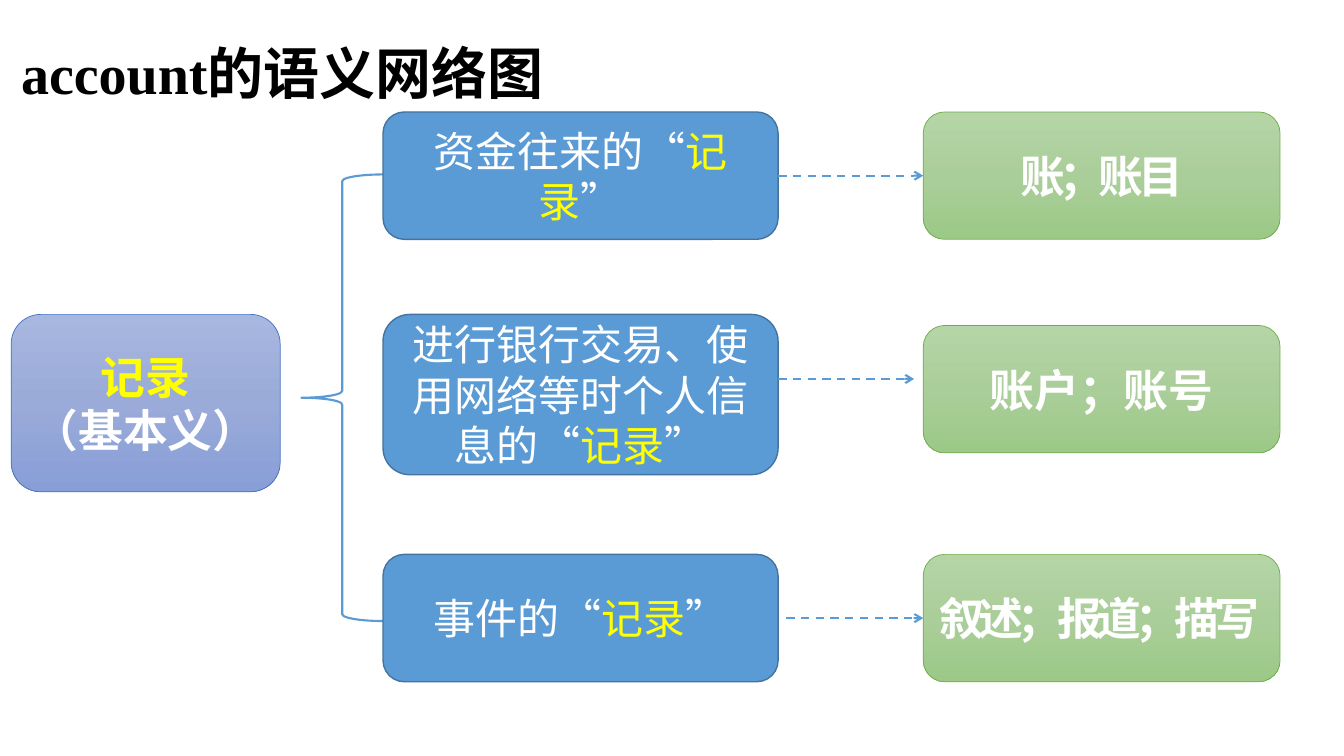
from copy import deepcopy

from lxml import etree
from pptx import Presentation
from pptx.dml.color import RGBColor
from pptx.enum.dml import MSO_LINE
from pptx.enum.shapes import MSO_CONNECTOR, MSO_SHAPE
from pptx.enum.text import MSO_ANCHOR, PP_ALIGN
from pptx.oxml.ns import qn
from pptx.util import Pt

ROUNDED = MSO_SHAPE.ROUNDED_RECTANGLE
BRACE = MSO_SHAPE.LEFT_BRACE
STRAIGHT = MSO_CONNECTOR.STRAIGHT
DASH = MSO_LINE.DASH
MIDDLE = MSO_ANCHOR.MIDDLE
CENTER = PP_ALIGN.CENTER
JUSTIFY = PP_ALIGN.JUSTIFY
LEFT_SIDE, RIGHT_SIDE = 1, 3

CHINESE_FONT = "Noto Sans CJK SC"
TITLE_FONT = "Times New Roman"
COLORS = {
    "title": "000000",
    "text": "FFFFFF",
    "keyword": "FFFF00",
    "sense": "5B9BD5",
    "sense_line": "43739E",
    "root_line": "4472C4",
    "translation_line": "70AD47",
}
ROOT_GRADIENT = ("A8B7DF", "9AABD9", "889ED7")
TRANSLATION_GRADIENT = ("B5D5A7", "AACE9A", "9CC987")

KEYWORD = "记录"
SENSE_LEFT, SENSE_WIDTH = 273.6, 282.2
TRANSLATION_LEFT, TRANSLATION_WIDTH = 659.5, 254.9
BOX_HEIGHT = 91
ROWS = [
    {"sense": "资金往来的“记录”", "sense_top": 80, "sense_height": BOX_HEIGHT,
     "translation": "账；账目", "translation_top": 80,
     "align": CENTER, "spacing": -4},
    {"sense": "进行银行交易、使用网络等时个人信息的“记录”",
     "sense_top": 224.6, "sense_height": 114.5,
     "translation": "账户；账号", "translation_top": 232.5,
     "align": CENTER, "spacing": 0},
    {"sense": "事件的“记录”", "sense_top": 396, "sense_height": BOX_HEIGHT,
     "translation": "叙述；报道；描写", "translation_top": 396,
     "align": JUSTIFY, "spacing": -4},
]


def rgb(name):
    return RGBColor.from_string(COLORS[name])


def style_font(paragraph, size, bold=False, spacing=0):
    font = paragraph.font
    font.size = Pt(size)
    font.bold = bold
    font.name = CHINESE_FONT
    properties = paragraph._p.pPr.find(qn("a:defRPr"))
    etree.SubElement(properties, qn("a:ea"), typeface=CHINESE_FONT)
    if spacing:
        properties.set("spc", str(spacing * 100))


def fill_gradient(shape, colors):
    shape.fill.gradient()
    shape.fill.gradient_angle = 270
    stop_list = shape._element.spPr.find(qn("a:gradFill")).find(qn("a:gsLst"))
    stop_list.insert(1, deepcopy(stop_list[0]))
    for index, (stop, color) in enumerate(zip(shape.fill.gradient_stops, colors)):
        stop.position = index / 2
        stop.color.rgb = RGBColor.from_string(color)


def add_box(slide, box, line_color, line_width):
    shape = slide.shapes.add_shape(ROUNDED, *map(Pt, box))
    shape.shadow.inherit = False
    shape.line.color.rgb = rgb(line_color)
    shape.line.width = Pt(line_width)
    shape.text_frame.word_wrap = True
    shape.text_frame.vertical_anchor = MIDDLE
    return shape


def add_title(slide, box):
    frame = slide.shapes.add_textbox(*map(Pt, box)).text_frame
    frame.word_wrap = True
    paragraph = frame.paragraphs[0]
    paragraph.text = "account的语义网络图"
    paragraph.font.name = TITLE_FONT
    paragraph.font.size = Pt(40)
    paragraph.font.bold = True
    paragraph.font.color.rgb = rgb("title")


def add_root(slide, box):
    shape = add_box(slide, box, "root_line", 0.5)
    fill_gradient(shape, ROOT_GRADIENT)
    shape.text_frame.text = KEYWORD + "\n（基本义）"
    for paragraph, color in zip(shape.text_frame.paragraphs, ("keyword", "text")):
        paragraph.alignment = CENTER
        paragraph.font.color.rgb = rgb(color)
        style_font(paragraph, 32, bold=True)


def add_brace(slide, box):
    brace = slide.shapes.add_shape(BRACE, *map(Pt, box))
    brace.shadow.inherit = False
    brace.fill.background()
    brace.line.color.rgb = rgb("sense")
    brace.line.width = Pt(1.5)


def add_sense(slide, box, text):
    shape = add_box(slide, box, "sense_line", 1)
    shape.fill.solid()
    shape.fill.fore_color.rgb = rgb("sense")
    paragraph = shape.text_frame.paragraphs[0]
    paragraph.alignment = CENTER
    before, after = text.split(KEYWORD)
    for part, color in ((before, "text"), (KEYWORD, "keyword"), (after, "text")):
        run = paragraph.add_run()
        run.text = part
        run.font.color.rgb = rgb(color)
    style_font(paragraph, 30)
    return shape


def add_translation(slide, box, text, align, spacing):
    shape = add_box(slide, box, "translation_line", 0.5)
    fill_gradient(shape, TRANSLATION_GRADIENT)
    paragraph = shape.text_frame.paragraphs[0]
    paragraph.text = text
    paragraph.alignment = align
    paragraph.font.color.rgb = rgb("text")
    style_font(paragraph, 32, bold=True, spacing=spacing)
    return shape


def add_arrow(slide, start, end, y):
    arrow = slide.shapes.add_connector(STRAIGHT, Pt(start), Pt(y), Pt(end), Pt(y))
    arrow.line.color.rgb = rgb("sense")
    arrow.line.width = Pt(1.5)
    arrow.line.dash_style = DASH
    etree.SubElement(arrow.line._get_or_add_ln(), qn("a:tailEnd"), type="arrow")
    etree.SubElement(arrow._element.spPr, qn("a:effectLst"))
    return arrow


def add_rows(slide):
    senses, translations = [], []
    for row in ROWS:
        sense_box = (SENSE_LEFT, row["sense_top"], SENSE_WIDTH, row["sense_height"])
        senses.append(add_sense(slide, sense_box, row["sense"]))
        translation_box = (TRANSLATION_LEFT, row["translation_top"],
                           TRANSLATION_WIDTH, BOX_HEIGHT)
        translations.append(add_translation(
            slide, translation_box, row["translation"], row["align"], row["spacing"]))

    sense_right = SENSE_LEFT + SENSE_WIDTH
    first = add_arrow(slide, sense_right, TRANSLATION_LEFT, 125.5)
    first.begin_connect(senses[0], RIGHT_SIDE)
    first.end_connect(translations[0], LEFT_SIDE)
    add_arrow(slide, sense_right, 653, 270.7)
    last = add_arrow(slide, sense_right + 5.8, TRANSLATION_LEFT, 441.5)
    last.end_connect(translations[2], LEFT_SIDE)


def main():
    presentation = Presentation()
    presentation.slide_width = Pt(960)
    presentation.slide_height = Pt(540)
    slide = presentation.slides.add_slide(presentation.slide_layouts[6])
    add_title(slide, (8, 23.8, 442.8, 55.4))
    add_root(slide, (8, 224.6, 192.2, 126.7))
    add_brace(slide, (215.3, 124.6, 58.3, 319))
    add_rows(slide)
    presentation.save("out.pptx")


if __name__ == "__main__":
    main()
